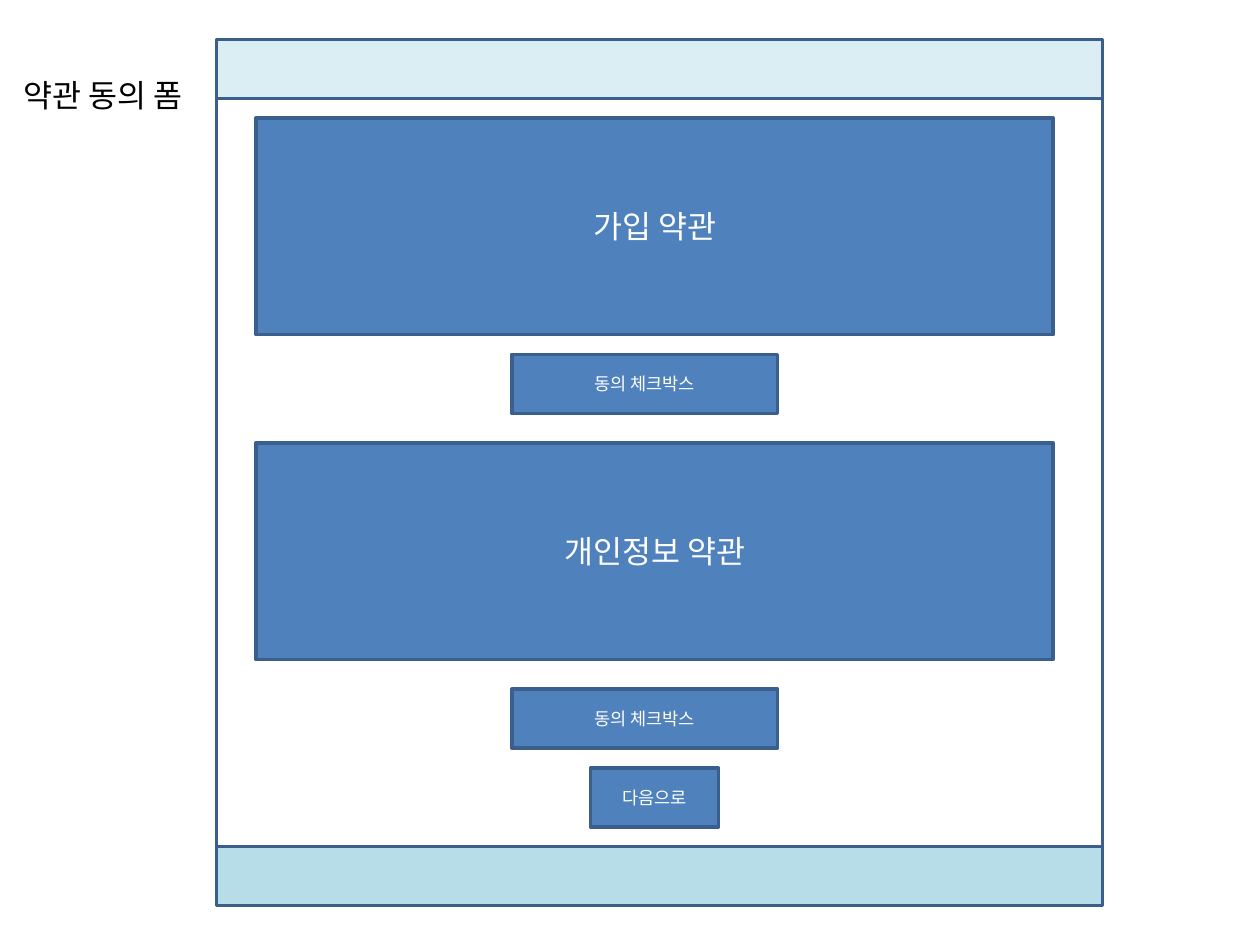
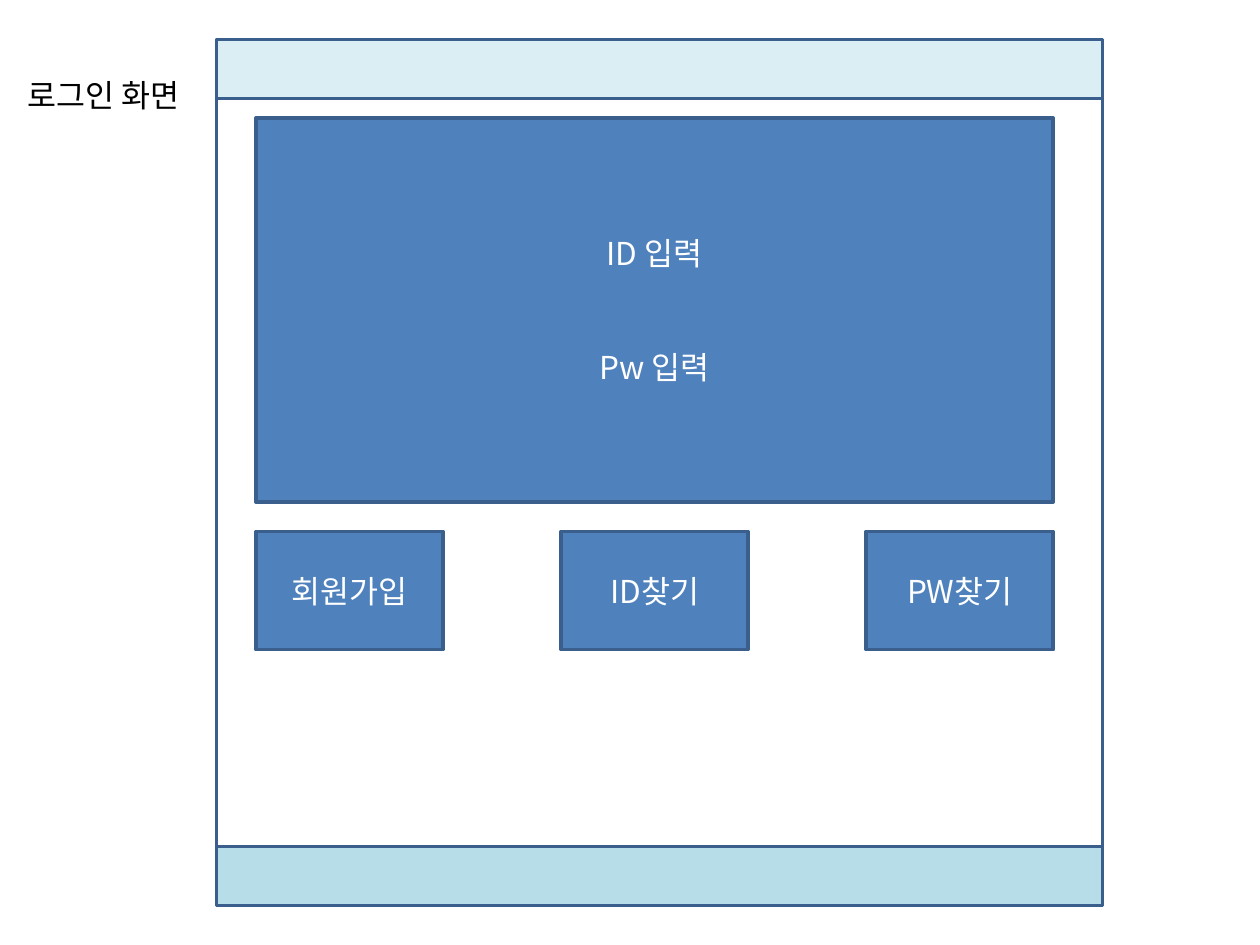
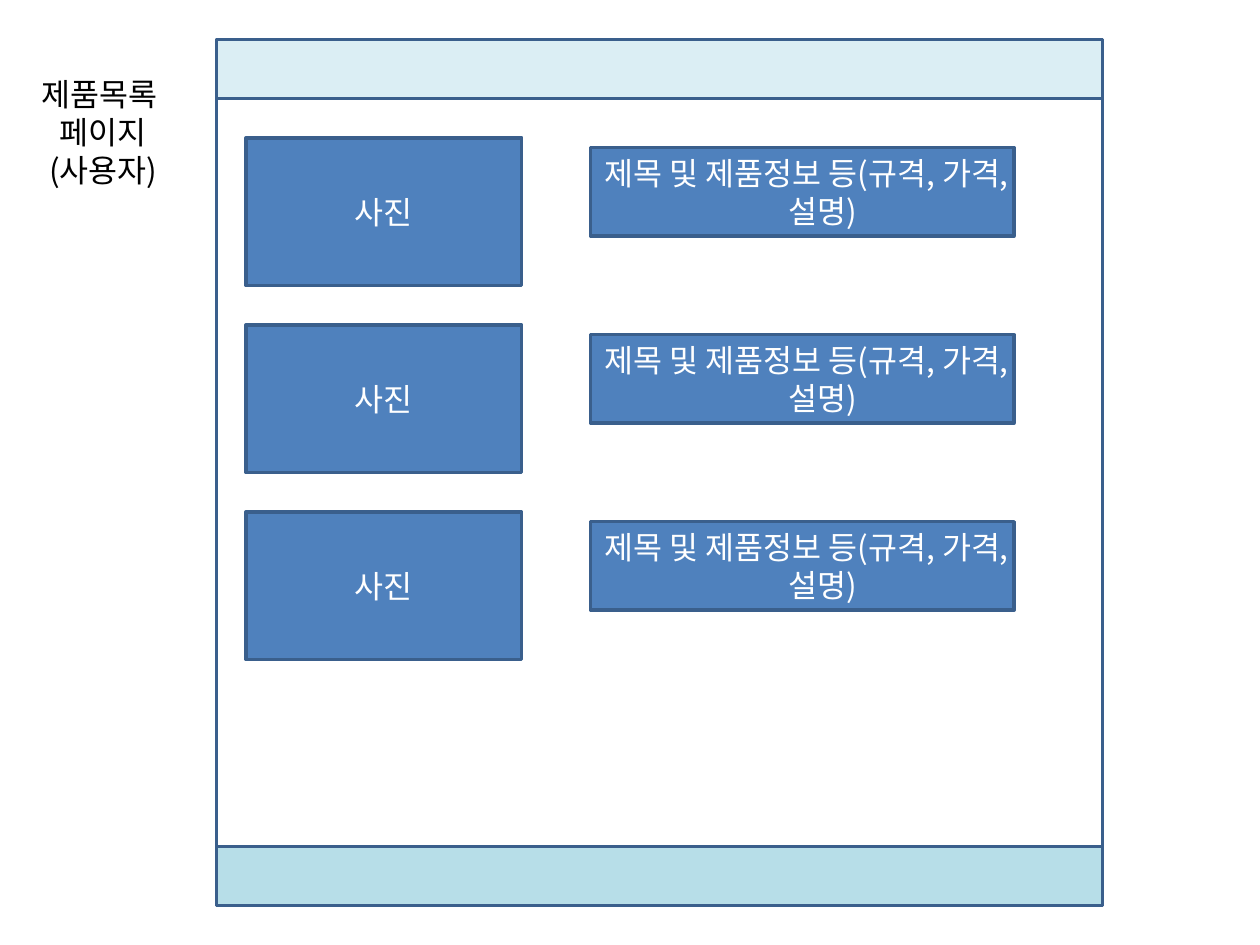
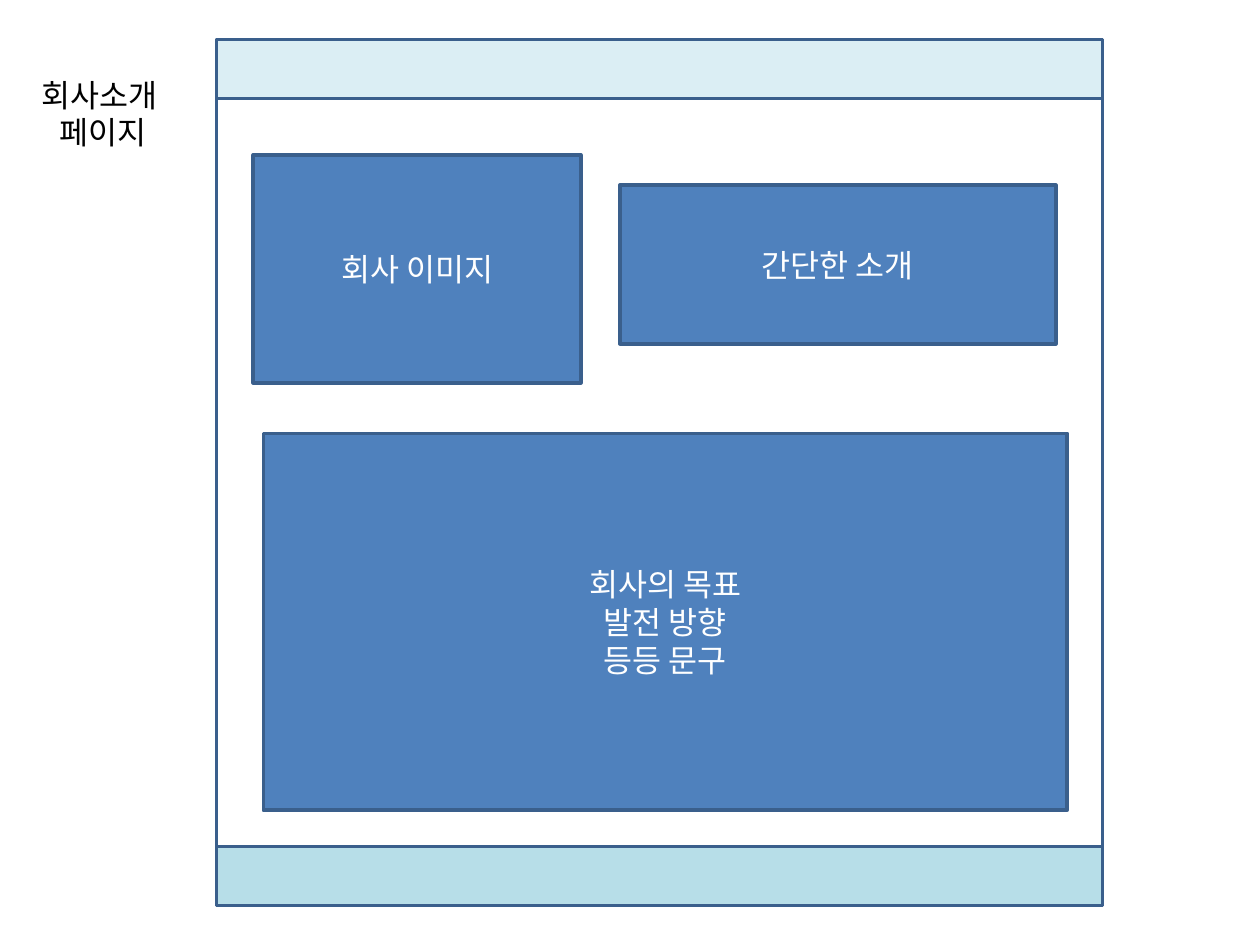
from dataclasses import dataclass

from lxml import etree
from pptx import Presentation
from pptx import util as u
from pptx.dml.color import RGBColor
from pptx.enum import shapes, text
from pptx.oxml import ns


@dataclass(frozen=True)
class Theme:
    font: str = "Noto Sans CJK KR"
    ink: str = "000000"
    paper: str = "FFFFFF"
    block: str = "4F81BD"
    outline: str = "3A5F8C"
    header: str = "DBEEF4"
    footer: str = "B7DEE8"
    body: float = 18
    small: float = 10
    outline_width: float = 2
    hanging: float = 27
    entry_gap: float = 43.4


@dataclass(frozen=True)
class Box:
    left: float
    top: float
    width: float
    height: float

    def inner(self, left, top, width, height):
        return Box(self.left + left, self.top + top, width, height)

    def lengths(self):
        return [u.Pt(v) for v in (self.left, self.top, self.width, self.height)]


THEME = Theme()
PAGE = Box(0, 0, 720, 540)
FRAME = PAGE.inner(123.75, 22.5, 506.25, 495)
BAND = 33.75
MARGIN = 22.5
CONTENT_TOP = 45
CONTENT_WIDTH = 455.63


def write_lines(frame, lines, color, size, gap=0, hanging=0):
    frame.word_wrap = True
    for number, line in enumerate(lines):
        paragraph = frame.add_paragraph() if number else frame.paragraphs[0]
        paragraph.alignment = text.PP_ALIGN.CENTER
        if number and gap:
            paragraph.space_before = u.Pt(gap)
        if hanging:
            properties = paragraph._p.get_or_add_pPr()
            properties.set("marL", str(u.Pt(hanging)))
            properties.set("indent", str(-u.Pt(hanging)))
        run = paragraph.add_run()
        run.text = line
        run.font.name = THEME.font
        run.font.size = u.Pt(size)
        run.font.color.rgb = RGBColor.from_string(color)
        east_asian = etree.SubElement(run._r.get_or_add_rPr(), ns.qn("a:ea"))
        east_asian.set("typeface", THEME.font)


def add_panel(slide, box, fill):
    panel = slide.shapes.add_shape(shapes.MSO_SHAPE.RECTANGLE, *box.lengths())
    panel.shadow.inherit = False
    panel.fill.solid()
    panel.fill.fore_color.rgb = RGBColor.from_string(fill)
    panel.line.color.rgb = RGBColor.from_string(THEME.outline)
    panel.line.width = u.Pt(THEME.outline_width)
    return panel


def add_block(slide, box, *lines, size=THEME.body, gap=0, hanging=0):
    block = add_panel(slide, box, THEME.block)
    block.text_frame.vertical_anchor = text.MSO_ANCHOR.MIDDLE
    write_lines(block.text_frame, lines, THEME.paper, size, gap, hanging)


def add_title(slide, page, lines):
    line_height = 21.75
    box = page.inner(0, 39.6, 118.13, 7.2 + line_height * len(lines))
    title = slide.shapes.add_textbox(*box.lengths())
    write_lines(title.text_frame, lines, THEME.ink, THEME.body)
    title.text_frame.auto_size = text.MSO_AUTO_SIZE.SHAPE_TO_FIT_TEXT


def add_screen(slide, box):
    add_panel(slide, box, THEME.paper)
    add_panel(slide, box.inner(0, 0, box.width, BAND), THEME.header)
    add_panel(slide, box.inner(0, box.height - BAND, box.width, BAND), THEME.footer)


def terms_form(slide, box):
    terms_pitch = 185.63
    for row, terms in enumerate(("가입 약관", "개인정보 약관")):
        top = CONTENT_TOP + row * terms_pitch
        add_block(slide, box.inner(MARGIN, top, CONTENT_WIDTH, 123.75), terms)
    for top in (180, 371.25):
        consent = box.inner(168.75, top, 151.88, BAND)
        add_block(slide, consent, "동의 체크박스", size=THEME.small)
    add_block(slide, box.inner(213.75, 416.25, 73.13, BAND), "다음으로", size=THEME.small)


def login_screen(slide, box):
    credentials = box.inner(MARGIN, CONTENT_TOP, CONTENT_WIDTH, 219.38)
    add_block(slide, credentials, "ID 입력", "Pw 입력", gap=THEME.entry_gap)
    actions = ("회원가입", "ID찾기", "PW찾기")
    width = 106.88
    pitch = (CONTENT_WIDTH - width) / (len(actions) - 1)
    for column, action in enumerate(actions):
        add_block(slide, box.inner(MARGIN + column * pitch, 281.25, width, 67.5), action)


def product_list(slide, box):
    first_top, pitch, info_drop = 56.25, 106.88, 5.63
    for row in range(3):
        top = first_top + row * pitch
        photo = box.inner(16.88, top, 157.5, 84.38)
        info = box.inner(213.75, top + info_drop, 241.88, 50.63)
        add_block(slide, photo, "사진", hanging=THEME.hanging)
        add_block(slide, info, "제목 및 제품정보 등(규격, 가격,설명) ", hanging=THEME.hanging)


def company_page(slide, box):
    add_block(slide, box.inner(21, 66, 187.2, 130.3), "회사 이미지")
    add_block(slide, box.inner(230.5, 83.3, 249.1, 90.7), "간단한 소개")
    add_block(slide, box.inner(26.7, 225.2, 459.4, 215.3),
              "회사의 목표", "발전 방향", "등등 문구")


SCREENS = (
    (("약관 동의 폼",), terms_form),
    (("로그인 화면",), login_screen),
    (("제품목록 ", "페이지", "(사용자)"), product_list),
    (("회사소개 ", "페이지"), company_page),
)


def main():
    deck = Presentation()
    deck.slide_width = u.Pt(PAGE.width)
    deck.slide_height = u.Pt(PAGE.height)
    blank = deck.slide_layouts[6]
    for title, fill_screen in SCREENS:
        slide = deck.slides.add_slide(blank)
        add_screen(slide, FRAME)
        add_title(slide, PAGE, title)
        fill_screen(slide, FRAME)
    deck.save("out.pptx")


if __name__ == "__main__":
    main()
